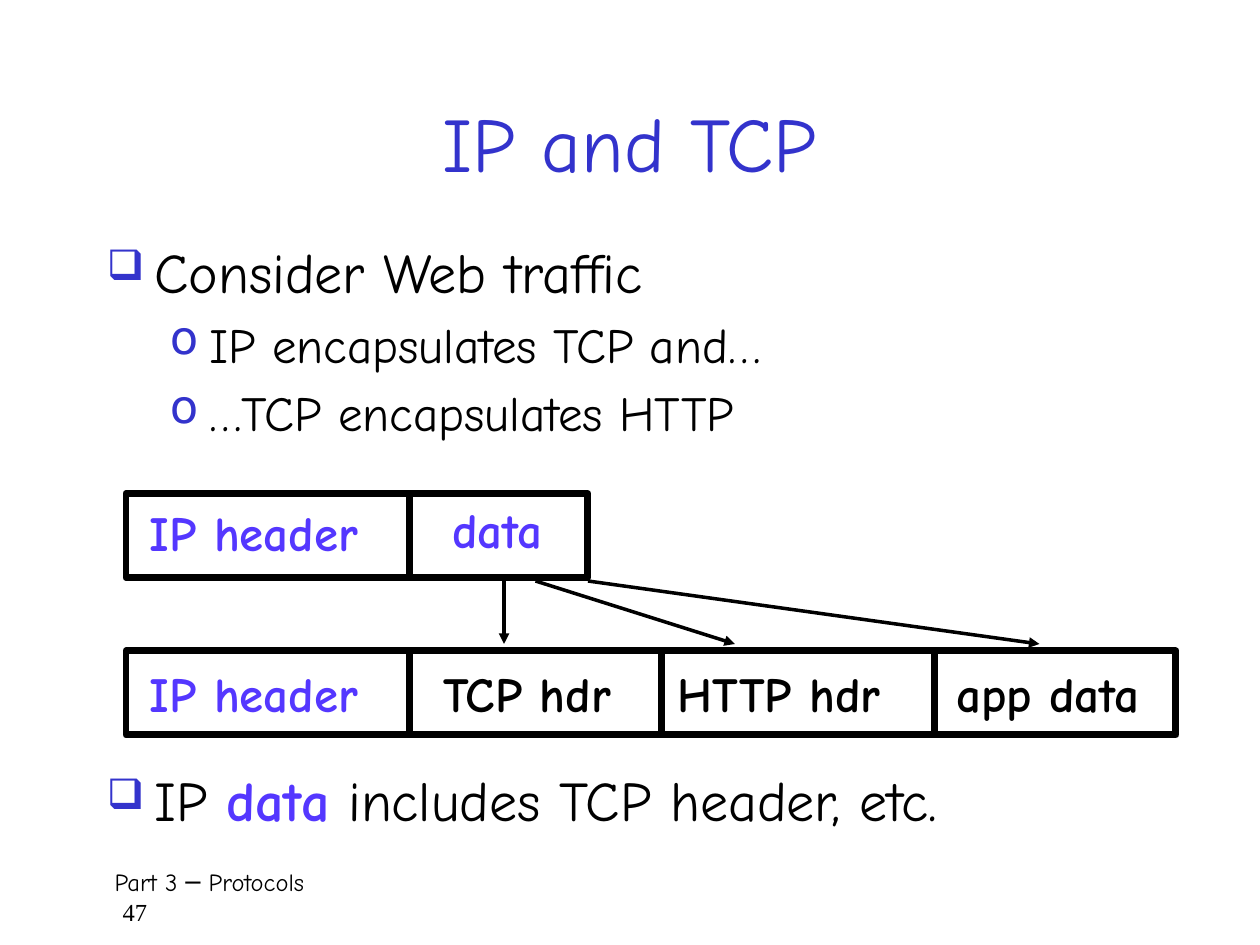
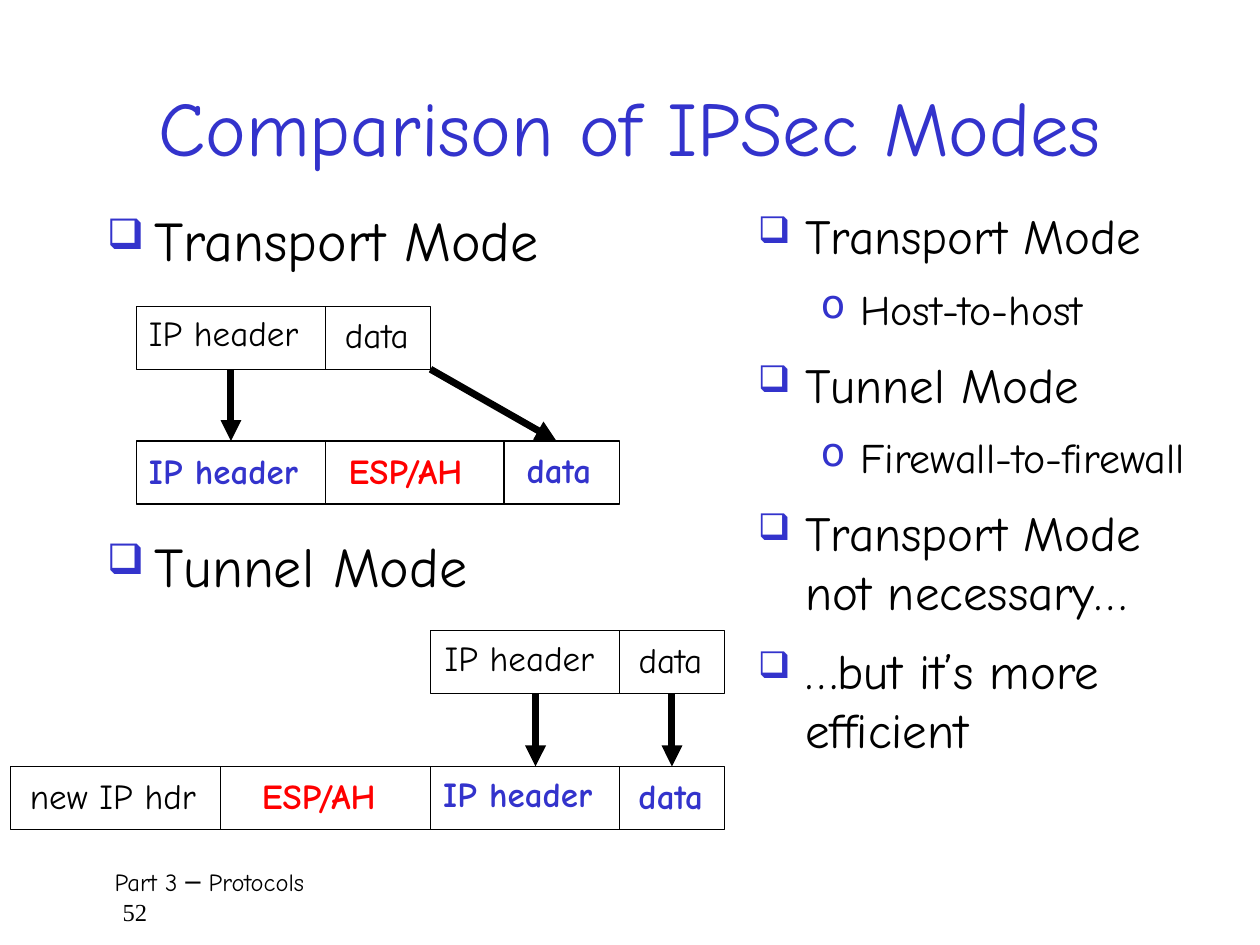
import functools
import typing

import pptx
import pptx.dml.color
import pptx.enum.shapes
import pptx.enum.text
import pptx.oxml.ns
import pptx.oxml.xmlchemy
import pptx.util
from lxml import etree

Pt = pptx.util.Pt
RGBColor = pptx.dml.color.RGBColor
qn = pptx.oxml.ns.qn

# Shared look
BLACK = RGBColor(0x00, 0x00, 0x00)
BLUE = RGBColor(0x33, 0x33, 0xCC)
VIOLET = RGBColor(0x54, 0x37, 0xFF)
RED = RGBColor(0xFF, 0x00, 0x00)
BODY_FONT = "Comic Neue"
NUMBER_FONT = "Times New Roman"
MARGIN = 54


class BulletLevel(typing.NamedTuple):
    symbol: str
    scale: int
    margin: float
    hanging: float


BULLET_LEVELS = (BulletLevel("❑", 75, 27, 27), BulletLevel("o", 95, 58.5, 22.5))


class Label(typing.NamedTuple):
    text: str
    left: float
    top: float
    width: float
    colour: RGBColor = BLACK
    bold: bool = False


# Text
def add_box(page, left, top, width, height):
    box = page.shapes.add_textbox(Pt(left), Pt(top), Pt(width), Pt(height))
    box.text_frame.word_wrap = True
    return box


def format_runs(para, size, colour=BLACK, bold=False, font=BODY_FONT):
    for span in para.runs:
        span.font.name = font
        span.font.size = Pt(size)
        span.font.bold = bold
        span.font.color.rgb = colour


def add_title(page, text, height):
    frame = add_box(page, MARGIN, 36, 612, height).text_frame
    frame.vertical_anchor = pptx.enum.text.MSO_ANCHOR.MIDDLE
    frame.text = text
    para = frame.paragraphs[0]
    para.alignment = pptx.enum.text.PP_ALIGN.CENTER
    format_runs(para, 44, BLUE)


def add_footer(page, number):
    frame = add_box(page, MARGIN, 492, 618, 36).text_frame
    frame.text = f"Part 3 ─ Protocols\n{number}"
    for para, font, indent in zip(frame.paragraphs, (BODY_FONT, NUMBER_FONT), (4.5, 9)):
        format_runs(para, 14, font=font)
        para._p.get_or_add_pPr().set("marL", str(Pt(indent)))


def set_bullet(para, level):
    style = BULLET_LEVELS[level]
    para.level = level
    properties = para._p.get_or_add_pPr()
    properties.set("marL", str(Pt(style.margin)))
    properties.set("indent", str(-Pt(style.hanging)))
    colour = etree.SubElement(properties, qn("a:buClr"))
    etree.SubElement(colour, qn("a:srgbClr"), val=str(BLUE))
    etree.SubElement(properties, qn("a:buSzPct"), val=str(style.scale * 1000))
    etree.SubElement(properties, qn("a:buChar"), char=style.symbol)


def add_bullets(page, area, items, sizes=(32, 28), space_after=0, line_spacing=None):
    """Each item is a level and its pieces of text; every second piece is stressed."""
    frame = add_box(page, *area).text_frame
    for index, (level, *pieces) in enumerate(items):
        para = frame.add_paragraph() if index else frame.paragraphs[0]
        for piece in pieces:
            para.add_run().text = piece
        size = sizes[level]
        format_runs(para, size)
        for span in para.runs[1::2]:
            span.font.bold = True
            span.font.color.rgb = VIOLET
        para.space_before = Pt(size * 0.2)
        para.space_after = Pt(space_after)
        if line_spacing:
            para.line_spacing = line_spacing
        set_bullet(para, level)


# Packet diagrams
def add_line(page, start, end, weight, arrow=False):
    line = page.shapes.add_connector(
        pptx.enum.shapes.MSO_CONNECTOR.STRAIGHT, *map(Pt, (*start, *end)))
    line.line.color.rgb = BLACK
    line.line.width = Pt(weight)
    properties = line.element.spPr
    if arrow:
        etree.SubElement(properties.find(qn("a:ln")), qn("a:tailEnd"), type="triangle")
    etree.SubElement(properties, qn("a:effectLst"))


def add_label(page, label, size):
    box = add_box(page, label.left, label.top, label.width, size * 1.65)
    frame = box.text_frame
    frame.word_wrap = False
    frame.auto_size = pptx.enum.text.MSO_AUTO_SIZE.SHAPE_TO_FIT_TEXT
    frame.text = label.text
    format_runs(frame.paragraphs[0], size, label.colour, label.bold)


def add_packet(page, top, edges, labels, height, weight, size, drop=0):
    """Frame from the first edge to the last, with a divider at each edge between."""
    for label in labels:
        add_label(page, label, size)
    left, *dividers, right = edges
    frame = page.shapes.add_shape(
        pptx.enum.shapes.MSO_SHAPE.RECTANGLE, *map(Pt, (left, top, right - left, height)))
    frame.shadow.inherit = False
    frame.fill.background()
    frame.line.color.rgb = BLACK
    frame.line.width = Pt(weight)
    for x in dividers:
        add_line(page, (x, top + drop), (x, top + drop + height), weight)


def add_arrows(page, top, bottom, spans, weight):
    for start, end in spans:
        add_line(page, (start, top), (end, bottom), weight, arrow=True)


# Slides
def build_ip_and_tcp(page):
    add_footer(page, 47)
    add_title(page, "IP and TCP", 90)
    add_bullets(page, (MARGIN, 132, 606, 150), [
        (0, "Consider Web traffic"),
        (1, "IP encapsulates TCP and…"),
        (1, "…TCP encapsulates HTTP"),
    ])
    packet = functools.partial(add_packet, page, height=48, weight=4, size=28, drop=1.5)
    packet(282, (72, 234, 336), [
        Label("IP header", 78.5, 283.7, 150, VIOLET, True),
        Label("data", 251.3, 282.2, 75.6, VIOLET, True),
    ])
    packet(372, (72, 234, 378, 534, 672), [
        Label("IP header", 78.5, 375.8, 150, VIOLET, True),
        Label("TCP hdr", 246.2, 375.8, 124.6, BLACK, True),
        Label("HTTP hdr", 380.2, 375.8, 148.3, BLACK, True),
        Label("app data", 539.3, 375.8, 133.2, BLACK, True),
    ])
    add_arrows(page, 332, 368, [(288, 288), (306, 420), (336, 594)], 2)
    add_bullets(page, (MARGIN, 438, 600, 54),
                [(0, "IP ", "data", " includes TCP header, etc.")], line_spacing=0.9)


def build_ipsec_modes(page):
    add_footer(page, 52)
    add_title(page, "Comparison of IPSec Modes", 72)
    packet = functools.partial(add_packet, page, height=36, weight=0.75, size=20)

    # Transport mode
    add_bullets(page, (MARGIN, 114, 348, 60), [(0, "Transport Mode")])
    packet(175, (78, 186, 246), [
        Label("IP header", 78, 174.2, 106.6),
        Label("data", 190, 175.7, 56.2),
    ])
    packet(252, (78, 186, 288, 354), [
        Label("IP header", 78, 253.4, 110.9, BLUE, True),
        Label("ESP/AH", 192.2, 253.4, 91.4, RED, True),
        Label("data", 293.8, 252.7, 57.6, BLUE, True),
    ])
    add_arrows(page, 211, 252, [(132, 132), (246, 318)], 4)

    # Tunnel mode
    add_bullets(page, (MARGIN, 300, 312, 60), [(0, "Tunnel Mode")])
    packet(360.5, (246, 354, 414), [
        Label("IP header", 247, 360, 106.6),
        Label("data", 357.8, 361.4, 56.2),
    ])
    packet(438, (6, 126, 246, 354, 414), [
        Label("new IP hdr", 10, 439.2, 116),
        Label("ESP/AH", 142.6, 439.2, 91.4, RED, True),
        Label("IP header", 246.2, 437.8, 110.9, BLUE, True),
        Label("data", 357.8, 439.2, 57.6, BLUE, True),
    ])
    add_arrows(page, 396, 438, [(306, 306), (384, 384)], 4)

    # Comparison
    add_bullets(page, (426, 114, 270, 378), [
        (0, "Transport Mode"),
        (1, "Host-to-host"),
        (0, "Tunnel Mode"),
        (1, "Firewall-to-firewall"),
        (0, "Transport Mode not necessary…"),
        (0, "…but it’s more efficient"),
    ], sizes=(28, 24), space_after=6)


def main():
    deck = pptx.Presentation()
    deck.slide_width, deck.slide_height = Pt(720), Pt(540)
    blank = deck.slide_layouts[6]
    for build in (build_ip_and_tcp, build_ipsec_modes):
        build(deck.slides.add_slide(blank))
    deck.save("out.pptx")


if __name__ == "__main__":
    main()
